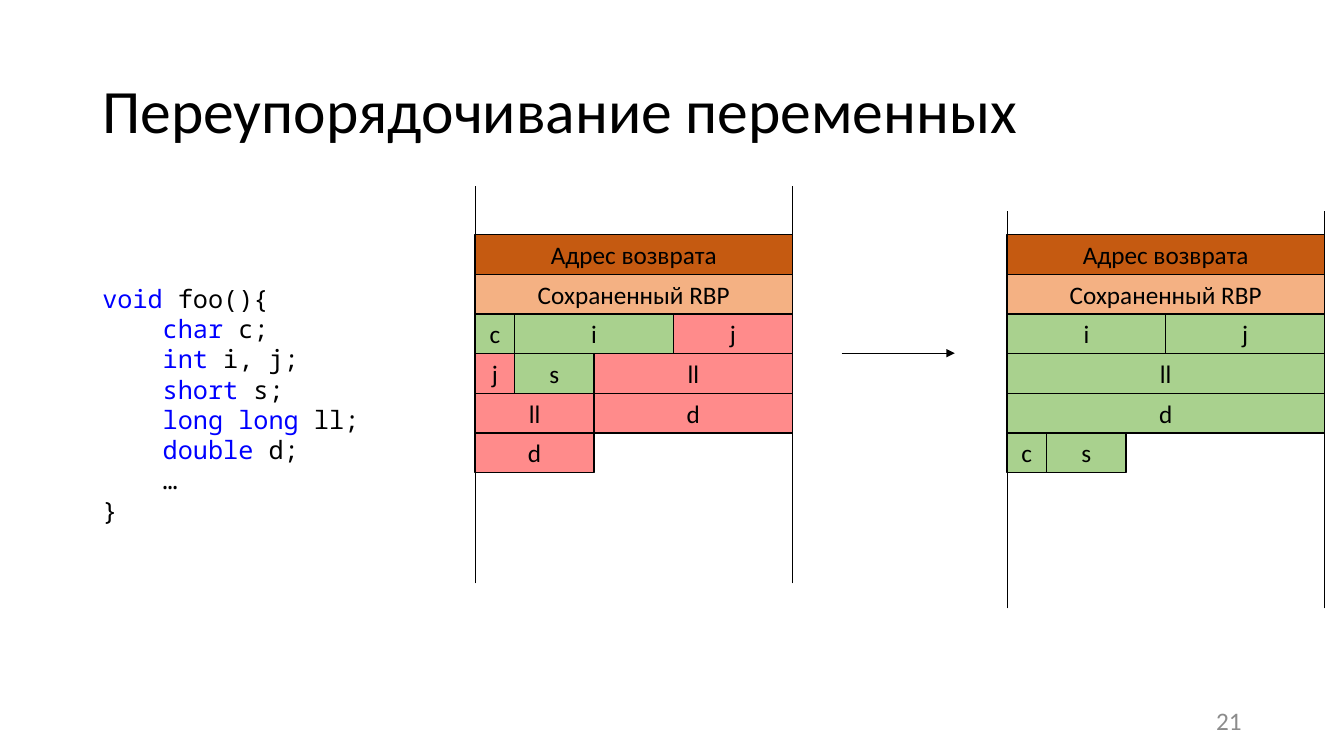
from lxml import etree
from pptx import Presentation
from pptx.dml.color import RGBColor
from pptx.enum import shapes, text
from pptx.oxml import ns
from pptx.util import Pt

BLACK = RGBColor(0x00, 0x00, 0x00)
GRAY = RGBColor(0x8C, 0x8C, 0x8C)
BLUE = RGBColor(0x00, 0x00, 0xFF)
BROWN = RGBColor(0xC5, 0x5A, 0x11)
ORANGE = RGBColor(0xF4, 0xB1, 0x83)
GREEN = RGBColor(0xA9, 0xD1, 0x8E)
RED = RGBColor(0xFF, 0x8B, 0x8B)

BYTE = 28.35
STACK_TOP = 167.6
FRAME_HEIGHT = 10 * BYTE
INDENT = 43.2


def style_run(r, size, color, font="Calibri"):
    r.font.size = Pt(size)
    r.font.name = font
    r.font.color.rgb = color


def add_line(x1, y1, x2, y2):
    line = s.shapes.add_connector(
        shapes.MSO_CONNECTOR.STRAIGHT, Pt(x1), Pt(y1), Pt(x2), Pt(y2))
    line.line.color.rgb = BLACK
    line.line.width = Pt(0.5)
    etree.SubElement(line._element.spPr, ns.qn("a:effectLst"))
    return line


prs = Presentation()
prs.slide_width, prs.slide_height = Pt(960), Pt(540)
s = prs.slides.add_slide(prs.slide_layouts[5])

title = s.shapes.title
title.left, title.top, title.width, title.height = Pt(66), Pt(28.75), Pt(828), Pt(104.4)
tf = title.text_frame
tf.text = "Переупорядочивание переменных"
tf.auto_size = text.MSO_AUTO_SIZE.NONE
tf.vertical_anchor = text.MSO_ANCHOR.MIDDLE
p = tf.paragraphs[0]
p.alignment = text.PP_ALIGN.LEFT
p.line_spacing = 0.9
style_run(p.runs[0], 44, BLACK)

code_lines = [
    (0, "void", " foo(){"),
    (1, "char", " c;"),
    (1, "int", " i, j;"),
    (1, "short", " s;"),
    (1, "long long", " ll;"),
    (1, "double", " d;"),
    (1, "", "…"),
    (0, "", "}"),
]
code = s.shapes.add_textbox(Pt(66), Pt(198.7), Pt(288), Pt(181.4))
tf = code.text_frame
tf.word_wrap = True
for n, (level, keyword, rest) in enumerate(code_lines):
    p = tf.add_paragraph() if n else tf.paragraphs[0]
    p._p.get_or_add_pPr().set("marL", str(Pt(level * INDENT)))
    for part, color in ((keyword, BLUE), (rest, BLACK)):
        if part:
            r = p.add_run()
            r.text = part
            style_run(r, 18, color, "Noto Sans Mono")

header = [
    [("Адрес возврата", 8, BROWN)],
    [("Сохраненный RBP", 8, ORANGE)],
]
declared_order = header + [
    [("с", 1, GREEN), ("i", 4, GREEN), ("j", 3, RED)],
    [("j", 1, RED), ("s", 2, GREEN), ("ll", 5, RED)],
    [("ll", 3, RED), ("d", 5, RED)],
    [("d", 3, RED)],
]
reordered = header + [
    [("i", 4, GREEN), ("j", 4, GREEN)],
    [("ll", 8, GREEN)],
    [("d", 8, GREEN)],
    [("с", 1, GREEN), ("s", 2, GREEN)],
]
for left, frame_top, rows in ((339.3, 133.2, declared_order), (719.3, 151, reordered)):
    for n, row in enumerate(rows):
        x = left
        for label, size, color in row:
            sp = s.shapes.add_shape(
                shapes.MSO_SHAPE.RECTANGLE,
                Pt(x), Pt(STACK_TOP + n * BYTE), Pt(size * BYTE), Pt(BYTE))
            sp.shadow.inherit = False
            sp.fill.solid()
            sp.fill.fore_color.rgb = color
            sp.line.color.rgb = BLACK
            sp.line.width = Pt(1)
            tf = sp.text_frame
            tf.text = label
            tf.vertical_anchor = text.MSO_ANCHOR.MIDDLE
            p = tf.paragraphs[0]
            p.alignment = text.PP_ALIGN.CENTER
            style_run(p.runs[0], 18, BLACK)
            x += size * BYTE
    for x in (left, left + 8 * BYTE):
        add_line(x, frame_top + FRAME_HEIGHT, x, frame_top)

arrow = add_line(601.2, 252.3, 682, 252.3)
etree.SubElement(arrow.line._get_or_add_ln(), ns.qn("a:tailEnd"), type="triangle")

number = s.shapes.add_textbox(Pt(678), Pt(500.5), Pt(216), Pt(28.75))
tf = number.text_frame
tf.word_wrap = True
tf.text = "21"
tf.vertical_anchor = text.MSO_ANCHOR.MIDDLE
p = tf.paragraphs[0]
p.alignment = text.PP_ALIGN.RIGHT
style_run(p.runs[0], 18, GRAY)

prs.save("out.pptx")
